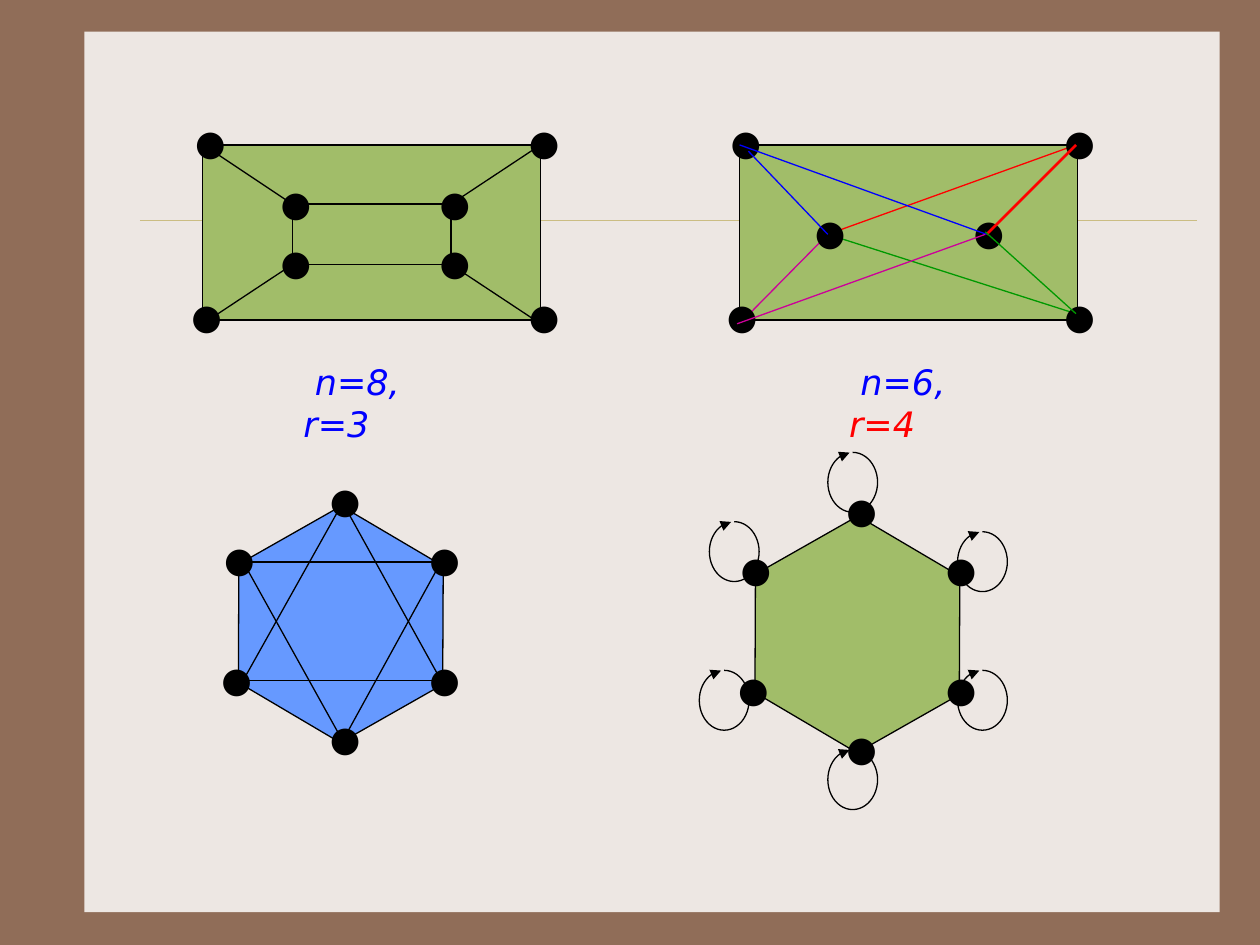
from lxml import etree
from pptx import Presentation, util as u
from pptx.dml.color import RGBColor
from pptx.enum import shapes as sh, text as tx
from pptx.oxml.ns import qn

BROWN = RGBColor(0x90, 0x6D, 0x58)
CREAM = RGBColor(0xED, 0xE7, 0xE3)
SAND = RGBColor(0xCB, 0xBD, 0x83)
LEAF = RGBColor(0xA1, 0xBD, 0x69)
SKY = RGBColor(0x66, 0x99, 0xFF)
BLACK = RGBColor(0, 0, 0)
RED = RGBColor(0xFF, 0, 0)
BLUE = RGBColor(0, 0, 0xFF)
GREEN = RGBColor(0, 0x99, 0)
PINK = RGBColor(0xCC, 0, 0x99)

deck = Presentation()
deck.slide_width, deck.slide_height = u.Inches(10), u.Inches(7.5)
CELL = deck.slide_width / 100  # square grid: 100 columns by 75 rows
slide = deck.slides.add_slide(deck.slide_layouts[6])
slide.background.fill.solid()
slide.background.fill.fore_color.rgb = BROWN


def ink(shape, edge=None, fill=None, wide=0.75, head=False):
    """Set outline, fill and arrowhead of a shape or connector, without shadow."""
    if edge is None:
        shape.line.fill.background()
    else:
        shape.line.color.rgb = edge
        shape.line.width = u.Pt(wide)
    if fill is not None:
        shape.fill.solid()
        shape.fill.fore_color.rgb = fill
    elif hasattr(shape, "fill"):
        shape.fill.background()
    props = shape._element.spPr
    if head:
        etree.SubElement(props.find(qn("a:ln")), qn("a:tailEnd"), type="triangle")
    etree.SubElement(props, qn("a:effectLst"))


def write(x, y, w, runs, wrap=False, first=0, italic=False):
    """Put coloured runs in a text box; first is the first-line indent in cells."""
    box = slide.shapes.add_textbox(*[round(v * CELL) for v in (x, y, w, 4.4)])
    frame = box.text_frame
    frame.word_wrap = wrap
    frame.auto_size = tx.MSO_AUTO_SIZE.SHAPE_TO_FIT_TEXT
    para = frame.paragraphs[0]
    if first:
        para._p.get_or_add_pPr().set("indent", str(round(first * CELL)))
    for words, tint in runs:
        run = para.add_run()
        run.text = words
        run.font.name, run.font.size = "DejaVu Sans", u.Pt(20)
        run.font.italic = italic
        run.font.color.rgb = tint


# Panel and the thin rule across it
panel = slide.shapes.add_shape(
    sh.MSO_SHAPE.RECTANGLE, *[round(v * CELL) for v in (6.7, 2.5, 90.1, 69.9)])
ink(panel, fill=CREAM)
rule = slide.shapes.add_connector(
    sh.MSO_CONNECTOR.STRAIGHT, *[round(v * CELL) for v in (11.1, 17.5, 95, 17.5)])
ink(rule, SAND, wide=0.25)

# Rectangles and hexagons of the four graphs
for x in (16.1, 58.7):
    rect = slide.shapes.add_shape(
        sh.MSO_SHAPE.RECTANGLE, *[round(v * CELL) for v in (x, 11.5, 26.8, 13.9)])
    ink(rect, BLACK, LEAF)
for x, y, fill in ((17.7, 41.4, SKY), (58.7, 42.2, LEAF)):
    hexa = slide.shapes.add_shape(
        sh.MSO_SHAPE.HEXAGON, *[round(v * CELL) for v in (x, y, 18.7, 16.3)])
    hexa.adjustments[0], hexa.adjustments[1] = 0.287, 1.155
    hexa.rotation = 330.4
    ink(hexa, BLACK, fill)

# Edges: those below the nodes, then those above them
below = [(a, b, c, d, BLACK, 0.75) for a, b, c, d in (
    (23.2, 16.2, 35.8, 16.2), (23.2, 21, 35.8, 21),
    (23.2, 16.2, 23.2, 21), (35.8, 17, 35.8, 21.8),
    (16.9, 12, 23.2, 16.2), (35.8, 16.2, 42.9, 11.5),
    (23.2, 21, 16.1, 25.7), (35.8, 21, 42.9, 25.7),
    (19.3, 44.6, 35, 44.6), (18.5, 54, 35, 54),
    (19.3, 54, 27.2, 39.9), (35, 54, 27.2, 39.9),
    (27.2, 58.8, 19.3, 44.6), (27.2, 58.8, 35, 44.6))]
below += [
    (65.7, 18.6, 85.4, 11.5, RED, 0.75),
    (65.7, 18.6, 58.7, 25.7, PINK, 0.75),
    (65.7, 18.6, 85.4, 24.9, GREEN, 0.75)]
above = [
    (59.4, 12, 65.7, 18.6, BLUE, 0.75),
    (85.4, 11.5, 78.3, 18.6, RED, 1.5),
    (78.3, 18.6, 58.7, 11.5, BLUE, 0.75),
    (85.4, 24.9, 78.2, 18.4, GREEN, 0.75),
    (58.5, 25.7, 78.2, 18.6, PINK, 0.75)]

# Nodes
nodes = [(x, y) for x in (21.3, 33.9) for y in (13.9, 18.6)]
nodes += [(63.7, 16.2), (76.3, 16.2)]
for dx in (0, 42.5):
    nodes += [(x + dx, y) for x, y in (
        (14.5, 9.1), (41, 9.1), (14.2, 22.9), (41, 22.9))]
for dx, dy in ((0, 0), (41, 0.8)):
    nodes += [(x + dx, y + dy) for x, y in (
        (25.2, 37.5), (16.8, 42.2), (33.1, 42.2),
        (33.1, 51.7), (25.2, 56.4), (16.6, 51.7))]

for edges, dots in ((below, nodes), (above, [])):
    for *ends, tint, wide in edges:
        edge = slide.shapes.add_connector(
            sh.MSO_CONNECTOR.STRAIGHT, *[round(v * CELL) for v in ends])
        ink(edge, tint, wide=wide)
    for x, y in dots:
        write(x, y, 4.4, [("●", BLACK)])

# Captions
for x, runs in ((23.1, [("n=8, r=3", BLUE)]),
                (66.4, [("n=6, ", BLUE), ("r=4", RED)])):
    write(x, 28.1, 13.1, runs, wrap=True, first=0.9, italic=True)

# Self-loops, nearly closed clockwise arcs
for x, y in ((55.5, 53.2), (56.3, 41.4), (65.7, 35.9),
             (76, 53.2), (76, 42.2), (65.7, 59.5)):
    loop = slide.shapes.add_shape(
        sh.MSO_SHAPE.ARC, *[round(v * CELL) for v in (x, y, 3.95, 4.75)])
    loop.adjustments[0], loop.adjustments[1] = 162, 158.4  # 270 and 264 degrees
    ink(loop, BLACK, head=True)

deck.save("out.pptx")
